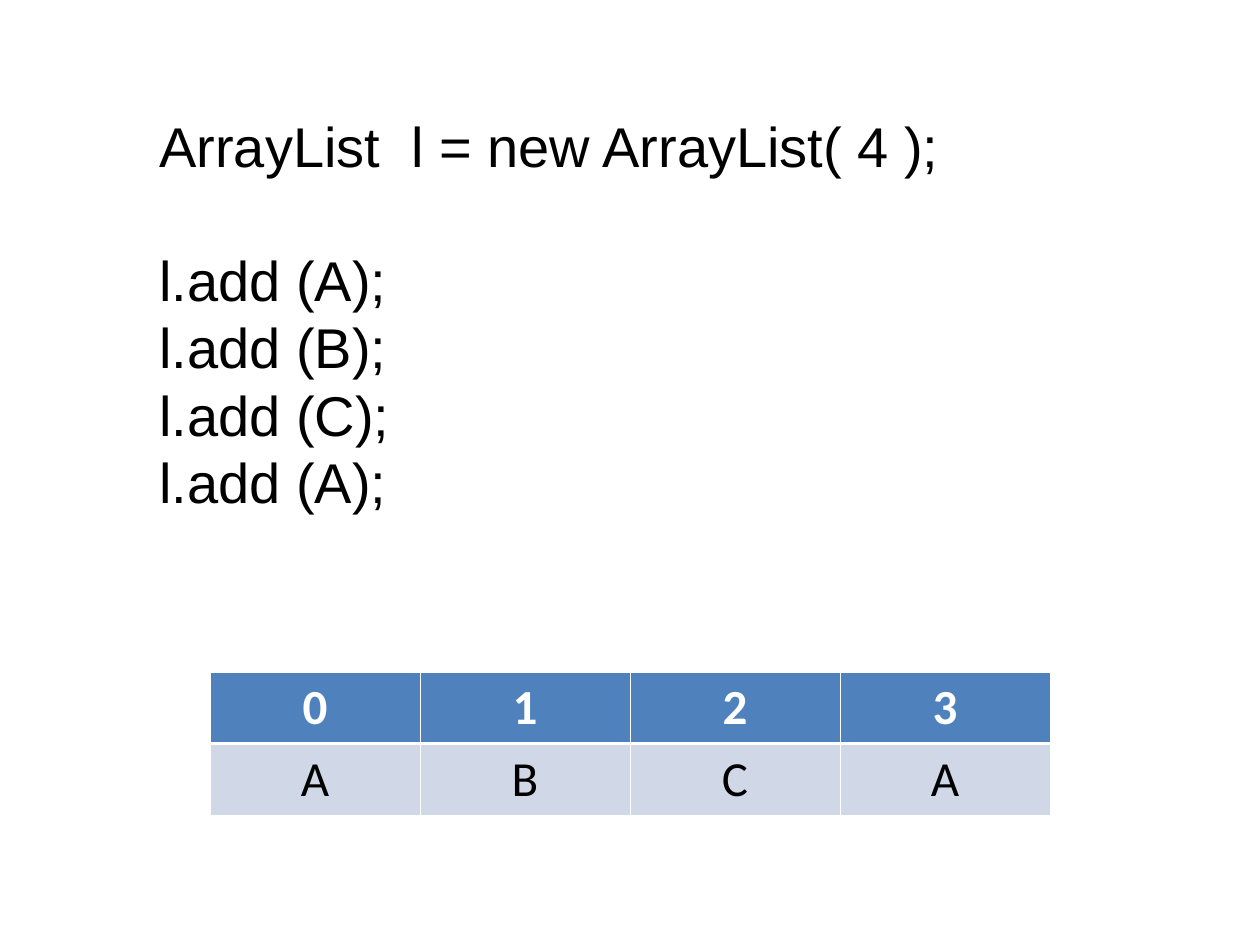
from dataclasses import dataclass

from lxml.etree import SubElement
from pptx import Presentation
from pptx.dml.color import RGBColor
from pptx.enum.text import PP_ALIGN
from pptx.oxml.ns import qn
from pptx.util import Inches, Pt


@dataclass(frozen=True)
class Theme:
    ink: str = "000000"
    paper: str = "FFFFFF"
    head: str = "4F81BD"
    band: str = "D0D8E8"
    code_font: str = "Arial"
    cell_font: str = "Calibri"
    code_size: float = 32
    cell_size: float = 28
    pitch: float = 38.4
    thin: float = 0.45
    thick: float = 1.47


def write(para, text, *, font, size, color, bold=False, align=PP_ALIGN.LEFT,
          pitch=None, before=0):
    para.alignment = align
    para.space_before = Pt(before)
    if pitch:
        para.line_spacing = Pt(pitch)
    run = para.add_run()
    run.text = text
    run.font.name = font
    run.font.size = Pt(size)
    run.font.bold = bold
    run.font.color.rgb = RGBColor.from_string(color)


def edge(cell, side, width, color):
    """Draw one border of a cell; side is L, R, T or B."""
    line = SubElement(cell._tc.get_or_add_tcPr(), qn(f"a:ln{side}"),
                      w=str(int(Pt(width))))
    fill = SubElement(line, qn("a:solidFill"))
    SubElement(fill, qn("a:srgbClr"), val=color)


class Page:
    """A slide on a grid of 12 columns and 9 rows."""

    def __init__(self, deck, theme):
        self.theme = theme
        self.slide = deck.slides.add_slide(deck.slide_layouts[6])
        self.col = deck.slide_width / 12
        self.row = deck.slide_height / 9

    def place(self, left, top, width, height):
        return (round(left * self.col), round(top * self.row),
                round(width * self.col), round(height * self.row))

    def code(self, blocks, *area):
        """Write blocks of code lines, one line apart."""
        look = self.theme
        frame = self.slide.shapes.add_textbox(*self.place(*area)).text_frame
        frame.word_wrap = True
        para = frame.paragraphs[0]
        for b, block in enumerate(blocks):
            for n, line in enumerate(block):
                if b or n:
                    para = frame.add_paragraph()
                write(para, line, font=look.code_font, size=look.code_size,
                      color=look.ink, pitch=look.pitch,
                      before=look.pitch if b and not n else 0)

    def table(self, rows, *area):
        look = self.theme
        grid = self.slide.shapes.add_table(
            len(rows), len(rows[0]), *self.place(*area)).table
        for r, row in enumerate(rows):
            top = r == 0
            for c, text in enumerate(row):
                cell = grid.cell(r, c)
                for side in "LRTB":
                    inner = side == ("B" if top else "T")
                    edge(cell, side, look.thick if inner else look.thin,
                         look.paper)
                cell.fill.solid()
                cell.fill.fore_color.rgb = RGBColor.from_string(
                    look.head if top else look.band)
                write(cell.text_frame.paragraphs[0], text,
                      font=look.cell_font, size=look.cell_size,
                      color=look.paper if top else look.ink, bold=top,
                      align=PP_ALIGN.CENTER)


def main():
    deck = Presentation()
    deck.slide_width, deck.slide_height = Inches(10), Inches(7.5)
    page = Page(deck, Theme())
    items = "ABCA"
    page.code([["ArrayList  l = new ArrayList( 4 );"],
               [f"l.add ({item});" for item in items]], 1.4, 1, 9.4, 4.6)
    page.table(["0123", items], 2, 6.4, 8, 1.36)
    deck.save("out.pptx")


if __name__ == "__main__":
    main()
